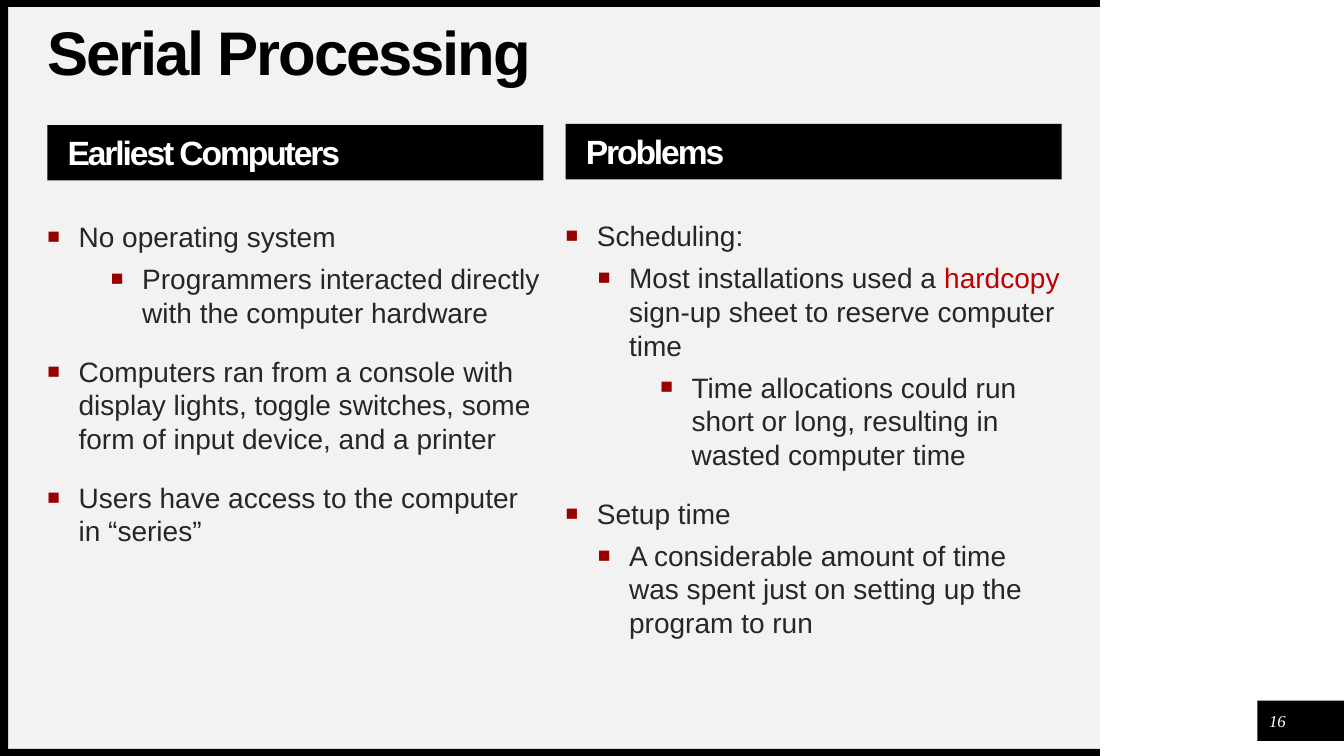
from dataclasses import dataclass

from lxml import etree
from pptx import Presentation
from pptx.dml.color import RGBColor
from pptx.enum import shapes, text
from pptx.oxml import ns
from pptx.util import Inches, Pt


@dataclass(frozen=True)
class Theme:
    font: str = "Arial"
    number_font: str = "Times New Roman"
    black: str = "000000"
    white: str = "FFFFFF"
    panel: str = "F2F2F2"
    ink: str = "262626"
    accent: str = "C00000"
    bullet: str = "990000"
    title_size: int = 44
    heading_size: int = 24
    body_size: int = 20
    number_size: int = 12


THEME = Theme()
COLUMN_W = 4.92
HEADING_H = 0.55

# Each item: level, left margin, space before, text runs (odd runs are accented)
EARLIEST = [
    (0, 0.31, 18, ["No operating system"]),
    (2, 0.94, 6, ["Programmers interacted directly with the computer hardware"]),
    (0, 0.31, 18, ["Computers ran from a console with display lights, toggle "
                   "switches, some form of input device, and a printer"]),
    (0, 0.31, 18, ["Users have access to the computer in “series”"]),
]
PROBLEMS = [
    (0, 0.31, 18, ["Scheduling:"]),
    (1, 0.63, 6, ["Most installations used a ", "hardcopy",
                  " sign-up sheet to reserve computer time"]),
    (3, 1.25, 6, ["Time allocations could run short or long, resulting in "
                  "wasted computer time"]),
    (3, 0.31, 18, ["Setup time"]),
    (1, 0.63, 6, ["A considerable amount of time was spent just on setting up "
                  "the program to run"]),
]


def place(sp, box):
    sp.left, sp.top, sp.width, sp.height = map(Inches, box)


def paint(sp, color):
    sp.fill.solid()
    sp.fill.fore_color.rgb = RGBColor.from_string(color)


def set_frame(sp, anchor, left=0, top=0):
    tf = sp.text_frame
    tf.word_wrap = True
    tf.auto_size = text.MSO_AUTO_SIZE.NONE
    tf.vertical_anchor = anchor
    tf.margin_left, tf.margin_top = Inches(left), Inches(top)
    tf.margin_right = tf.margin_bottom = 0
    return tf


def style_run(r, size, color, font=THEME.font, bold=False, italic=False):
    r.font.name, r.font.size = font, Pt(size)
    r.font.bold, r.font.italic = bold, italic
    r.font.color.rgb = RGBColor.from_string(color)


def add_bullet(p, margin):
    """Give the paragraph a hanging square bullet."""
    pPr = p._p.get_or_add_pPr()
    pPr.set("marL", str(Inches(margin)))
    pPr.set("indent", str(-Inches(0.31)))
    clr = etree.SubElement(pPr, ns.qn("a:buClr"))
    etree.SubElement(clr, ns.qn("a:srgbClr"), val=THEME.bullet)
    etree.SubElement(pPr, ns.qn("a:buSzPct"), val="75000")
    etree.SubElement(pPr, ns.qn("a:buFont"), typeface=THEME.font)
    etree.SubElement(pPr, ns.qn("a:buChar"), char="■")


def draw_backdrop(s, w, h):
    """Place the panel, its black edges and the number tab behind the text."""
    edge, right = 0.07, 10.91
    parts = [
        ((0.08, edge, right - 0.08, h - 2 * edge), THEME.panel),
        ((w - 0.86, 6.95, 0.86, 0.4), THEME.black),
        ((0, h - edge, right, edge), THEME.black),
        ((0, 0, right, edge), THEME.black),
        ((0, 0, 0.08, h), THEME.black),
    ]
    for i, (box, color) in enumerate(parts):
        sp = s.shapes.add_shape(shapes.MSO_SHAPE.RECTANGLE, *map(Inches, box))
        sp.shadow.inherit = False
        sp.line.fill.background()
        paint(sp, color)
        s.shapes._spTree.insert(2 + i, sp._element)


def fill_heading(sp, box, words, size, color, left=0, top=0):
    """Write one line of tight bold type, as used by title and column heads."""
    place(sp, box)
    tf = set_frame(sp, text.MSO_ANCHOR.MIDDLE, left, top)
    tf.text = words
    p = tf.paragraphs[0]
    p.alignment, p.line_spacing = text.PP_ALIGN.LEFT, 0.9
    r = p.runs[0]
    style_run(r, size, color, bold=True)
    r._r.get_or_add_rPr().set("spc", "-150")


def fill_list(sp, box, items):
    place(sp, box)
    tf = set_frame(sp, text.MSO_ANCHOR.TOP)
    for i, (level, margin, before, runs) in enumerate(items):
        p = tf.add_paragraph() if i else tf.paragraphs[0]
        p.level, p.space_before = level, Pt(before)
        add_bullet(p, margin)
        for j, words in enumerate(runs):
            r = p.add_run()
            r.text = words
            style_run(r, THEME.body_size, THEME.accent if j % 2 else THEME.ink)


def fill_column(head, body, box, words, items):
    x, y, w, h = box
    fill_heading(head, (x, y, w, HEADING_H), words, THEME.heading_size,
                 THEME.white, 0.2, 0.04)
    paint(head, THEME.black)
    list_top = y + 0.94
    fill_list(body, (x, list_top, w, y + h - list_top), items)


def add_number(s, box, number):
    sp = s.shapes.add_textbox(*map(Inches, box))
    tf = set_frame(sp, text.MSO_ANCHOR.MIDDLE)
    tf.text = number
    p = tf.paragraphs[0]
    p.alignment = text.PP_ALIGN.CENTER
    style_run(p.runs[0], THEME.number_size, THEME.white, THEME.number_font,
              italic=True)


def build_comparison(prs):
    s = prs.slides.add_slide(prs.slide_layouts.get_by_name("Comparison"))
    title, head_a, list_a, head_b, list_b = s.placeholders
    draw_backdrop(s, prs.slide_width.inches, prs.slide_height.inches)
    fill_heading(title, (0.47, 0.15, 10.06, 0.8), "Serial Processing",
                 THEME.title_size, THEME.black)
    fill_column(head_a, list_a, (0.47, 1.24, COLUMN_W, 4.79),
                "Earliest Computers", EARLIEST)
    fill_column(head_b, list_b, (5.61, 1.23, COLUMN_W, 5.35),
                "Problems", PROBLEMS)
    add_number(s, (12.52, 7, 0.3, 0.3), "16")


def main():
    prs = Presentation()
    prs.slide_width, prs.slide_height = Inches(13.33), Inches(7.5)
    build_comparison(prs)
    prs.save("out.pptx")


if __name__ == "__main__":
    main()
